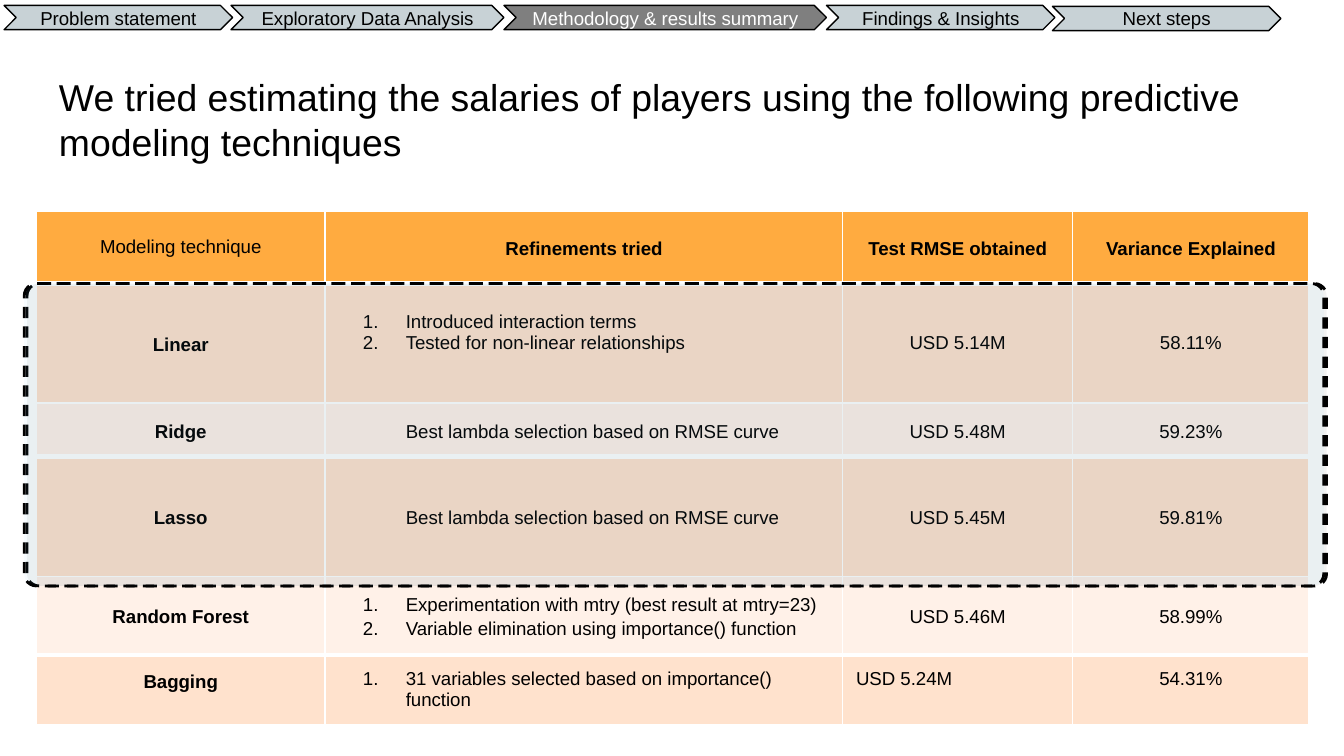
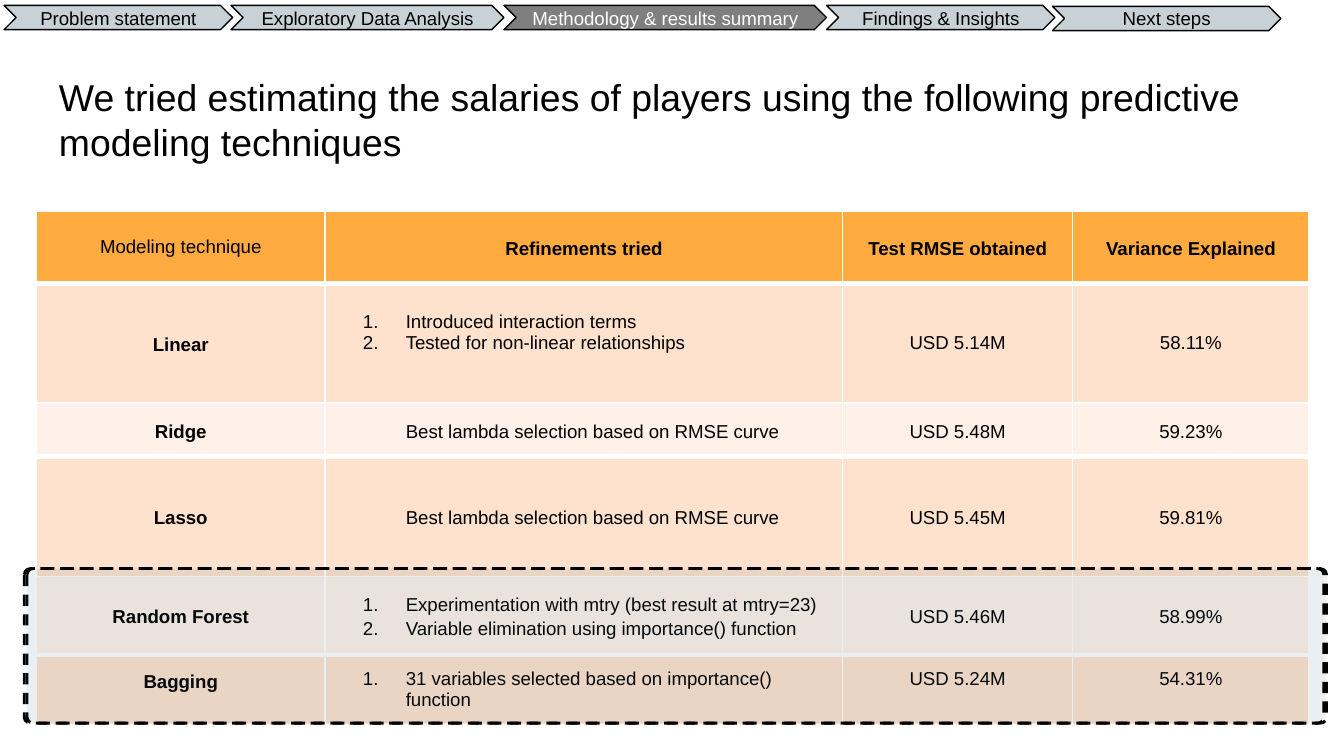
"""Build two slides that compare predictive models of player salaries."""
from typing import NamedTuple

from lxml import etree
from pptx import Presentation
from pptx.dml.color import RGBColor
from pptx.enum.dml import MSO_LINE
from pptx.enum.shapes import MSO_SHAPE
from pptx.enum.text import MSO_ANCHOR, PP_ALIGN
from pptx.oxml.ns import qn
from pptx.util import Pt

BLACK = RGBColor(0x00, 0x00, 0x00)
WHITE = RGBColor(0xFF, 0xFF, 0xFF)
STEEL = RGBColor(0xC8, 0xD2, 0xD6)
GREY = RGBColor(0x7F, 0x7F, 0x7F)
ORANGE = RGBColor(0xFF, 0xAB, 0x40)
PEACH = RGBColor(0xFF, 0xE2, 0xCD)
CREAM = RGBColor(0xFF, 0xF1, 0xE8)
SKY = RGBColor(0x66, 0xCC, 0xFF)

CHEVRON = MSO_SHAPE.CHEVRON
ROUNDED = MSO_SHAPE.ROUNDED_RECTANGLE
DASH = MSO_LINE.DASH
LEFT = PP_ALIGN.LEFT
CENTER = PP_ALIGN.CENTER
TOP = MSO_ANCHOR.TOP
MIDDLE = MSO_ANCHOR.MIDDLE

FONT = "Arial"
LOOSE = 1.15
INSET = 7.2
TITLE = ("We tried estimating the salaries of players using the following "
         "predictive modeling techniques")
HEADINGS = ("Modeling technique", "Refinements tried",
            "Test RMSE obtained", "Variance Explained")
TABLE_BOX = (19.4, 113, 682.6, 274.3)
COLUMN_WIDTHS = (154.8, 277.2, 123.2, 126.7)
HEADER_HEIGHT = 38.9


class Step(NamedTuple):
    """One chevron of the progress band."""
    label: str
    left: float
    width: float
    top: float = 2.9
    active: bool = False


class Model(NamedTuple):
    """One modelling technique and its table row."""
    name: str
    refinements: tuple[str, ...]
    rmse: str
    variance: str
    height: float
    fill: RGBColor
    numbered: bool = True
    spacing: float | None = None
    anchor: MSO_ANCHOR = MIDDLE
    top_border: float = 1
    bottom_border: float = 3
    refinement_bottom: float = INSET


class Page(NamedTuple):
    """What differs from slide to slide."""
    highlight_top: float
    highlight_height: float
    last_rmse_align: PP_ALIGN


STEPS = (
    Step("Problem statement", 2.2, 122.4),
    Step("Exploratory Data Analysis", 123.8, 146.2),
    Step("Methodology & results summary", 270, 172.8, active=True),
    Step("Findings & Insights", 442.8, 122.4),
    Step("Next steps", 563.8, 122.4, top=3.4),
)

LAMBDA = ("Best lambda selection based on RMSE curve",)
MODELS = (
    Model("Linear", ("Introduced interaction terms",
                     "Tested for non-linear relationships"),
          "USD 5.14M", "58.11%", 64.1, PEACH, bottom_border=1,
          refinement_bottom=18.7),
    Model("Ridge", LAMBDA, "USD 5.48M", "59.23%", 28.8, CREAM,
          numbered=False, spacing=LOOSE),
    Model("Lasso", LAMBDA, "USD 5.45M", "59.81%", 64.1, PEACH,
          numbered=False, spacing=LOOSE, top_border=3, bottom_border=1),
    Model("Random Forest", ("Experimentation with mtry (best result at mtry=23)",
                            "Variable elimination using importance() function"),
          "USD 5.46M", "58.99%", 19.4, CREAM, spacing=LOOSE),
    Model("Bagging", ("31 variables selected based on importance() function",),
          "USD 5.24M", "54.31%", 19.4, PEACH, anchor=TOP, top_border=3),
)

PAGES = (Page(151.9, 162, LEFT), Page(304.6, 82.8, CENTER))


def apply(target, values: dict) -> None:
    """Set each named attribute of the target."""
    for name, value in values.items():
        setattr(target, name, value)


def place(left: float, top: float, width: float, height: float) -> tuple:
    """Turn a box in points into lengths."""
    return Pt(left), Pt(top), Pt(width), Pt(height)


def margins(side: float, edge: float, bottom: float | None = None) -> dict:
    """Return margin values for a text frame or cell."""
    return {"margin_left": Pt(side), "margin_right": Pt(side),
            "margin_top": Pt(edge),
            "margin_bottom": Pt(edge if bottom is None else bottom)}


def add_node(parent, tag: str, **attributes: str):
    """Append an XML element with the given attributes."""
    return etree.SubElement(parent, qn(tag), attributes)


def write(frame, lines: tuple[str, ...], size: float = 10, color: RGBColor = BLACK,
          bold: bool = False, align: PP_ALIGN = LEFT,
          spacing: float | None = None) -> None:
    """Write one paragraph for each line."""
    for index, line in enumerate(lines):
        para = frame.add_paragraph() if index else frame.paragraphs[0]
        apply(para, {"alignment": align, "line_spacing": spacing})
        span = para.add_run()
        span.text = line
        apply(span.font, {"name": FONT, "size": Pt(size), "bold": bold})
        span.font.color.rgb = color


def indent(frame, numbered: bool) -> None:
    """Indent the paragraphs of a frame and number them if asked."""
    for para in frame.paragraphs:
        properties = para._p.get_or_add_pPr()
        properties.set("marL", str(Pt(36)))
        properties.set("indent", str(Pt(-23 if numbered else 0)))
        if numbered:
            add_node(add_node(properties, "a:buClr"), "a:srgbClr", val=str(BLACK))
            add_node(properties, "a:buFont", typeface=FONT)
            add_node(properties, "a:buAutoNum", type="arabicPeriod")


def add_title(page) -> None:
    """Add the slide title."""
    box = page.shapes.add_textbox(*place(24.5, 32.4, 671, 45.4))
    apply(box.text_frame, {"word_wrap": True, **margins(INSET, INSET)})
    write(box.text_frame, (TITLE,), size=20)


def add_step(page, step: Step) -> None:
    """Add one chevron of the progress band."""
    shape = page.shapes.add_shape(
        CHEVRON, *place(step.left, step.top, step.width, 13))
    shape.shadow.inherit = False
    shape.fill.solid()
    shape.fill.fore_color.rgb = GREY if step.active else STEEL
    shape.line.color.rgb = BLACK
    shape.line.width = Pt(0.75)
    apply(shape.text_frame, {"word_wrap": True, "vertical_anchor": MIDDLE,
                             **margins(INSET, 3.6)})
    write(shape.text_frame, (step.label,), align=CENTER,
          color=WHITE if step.active else BLACK)


def style_cell(cell, fill: RGBColor, anchor: MSO_ANCHOR, top: float,
               bottom: float, bottom_margin: float = INSET) -> None:
    """Give a cell its fill, margins and white borders."""
    apply(cell, {"vertical_anchor": anchor,
                 **margins(INSET, INSET, bottom_margin)})
    cell.fill.solid()
    cell.fill.fore_color.rgb = fill
    properties = cell._tc.get_or_add_tcPr()
    borders = {"a:lnL": 1, "a:lnR": 1, "a:lnT": top, "a:lnB": bottom}
    for index, (tag, width) in enumerate(borders.items()):
        line = add_node(properties, tag, w=str(Pt(width)))
        add_node(add_node(line, "a:solidFill"), "a:srgbClr", val=str(WHITE))
        properties.insert(index, line)


def fill_model_row(cells: list, model: Model, rmse_align: PP_ALIGN) -> None:
    """Fill one table row with a model."""
    for index, cell in enumerate(cells):
        style_cell(cell, model.fill, model.anchor, model.top_border,
                   model.bottom_border,
                   model.refinement_bottom if index == 1 else INSET)
    name, refinements, rmse, variance = (cell.text_frame for cell in cells)
    write(name, (model.name,), bold=True, align=CENTER, spacing=LOOSE)
    write(refinements, model.refinements, spacing=model.spacing)
    indent(refinements, model.numbered)
    write(rmse, (model.rmse,), align=rmse_align, spacing=model.spacing)
    write(variance, (model.variance,), align=CENTER, spacing=model.spacing)


def add_model_table(page, last_rmse_align: PP_ALIGN) -> None:
    """Add the table of techniques and results."""
    holder = page.shapes.add_table(
        len(MODELS) + 1, len(HEADINGS), *place(*TABLE_BOX))
    table = holder.table
    apply(table, {"first_row": False, "horz_banding": False})
    for column, width in zip(table.columns, COLUMN_WIDTHS):
        column.width = Pt(width)
    heights = (HEADER_HEIGHT, *(model.height for model in MODELS))
    for row, height in zip(table.rows, heights):
        row.height = Pt(height)
    holder.height = Pt(TABLE_BOX[3])
    header, *body = table.rows
    for index, (cell, heading) in enumerate(zip(header.cells, HEADINGS)):
        style_cell(cell, ORANGE, MIDDLE, 1, 3)
        write(cell.text_frame, (heading,), bold=index > 0, align=CENTER,
              spacing=LOOSE if index else None)
    for row, model in zip(body, MODELS):
        align = last_rmse_align if model is MODELS[-1] else CENTER
        fill_model_row(list(row.cells), model, align)


def add_highlight(page, top: float, height: float) -> None:
    """Add the dashed frame around a group of models."""
    shape = page.shapes.add_shape(ROUNDED, *place(13, top, 696.2, height))
    shape.adjustments[0] = 0.04
    shape.shadow.inherit = False
    shape.fill.solid()
    shape.fill.fore_color.rgb = SKY
    tint = shape._element.spPr.find(qn("a:solidFill")).find(qn("a:srgbClr"))
    add_node(tint, "a:alpha", val="5000")
    shape.line.color.rgb = BLACK
    apply(shape.line, {"width": Pt(1.5), "dash_style": DASH})
    effects = shape._element.spPr.find(qn("a:effectLst"))
    shadow = add_node(effects, "a:outerShdw", dist=str(Pt(1.5)), dir="0")
    add_node(shadow, "a:srgbClr", val=str(BLACK))


def main() -> None:
    """Build and save the deck."""
    deck = Presentation()
    apply(deck, {"slide_width": Pt(720), "slide_height": Pt(405)})
    for content in PAGES:
        page = deck.slides.add_slide(deck.slide_layouts[6])
        add_title(page)
        for step in STEPS:
            add_step(page, step)
        add_model_table(page, content.last_rmse_align)
        add_highlight(page, content.highlight_top, content.highlight_height)
    deck.save("out.pptx")


if __name__ == "__main__":
    main()
